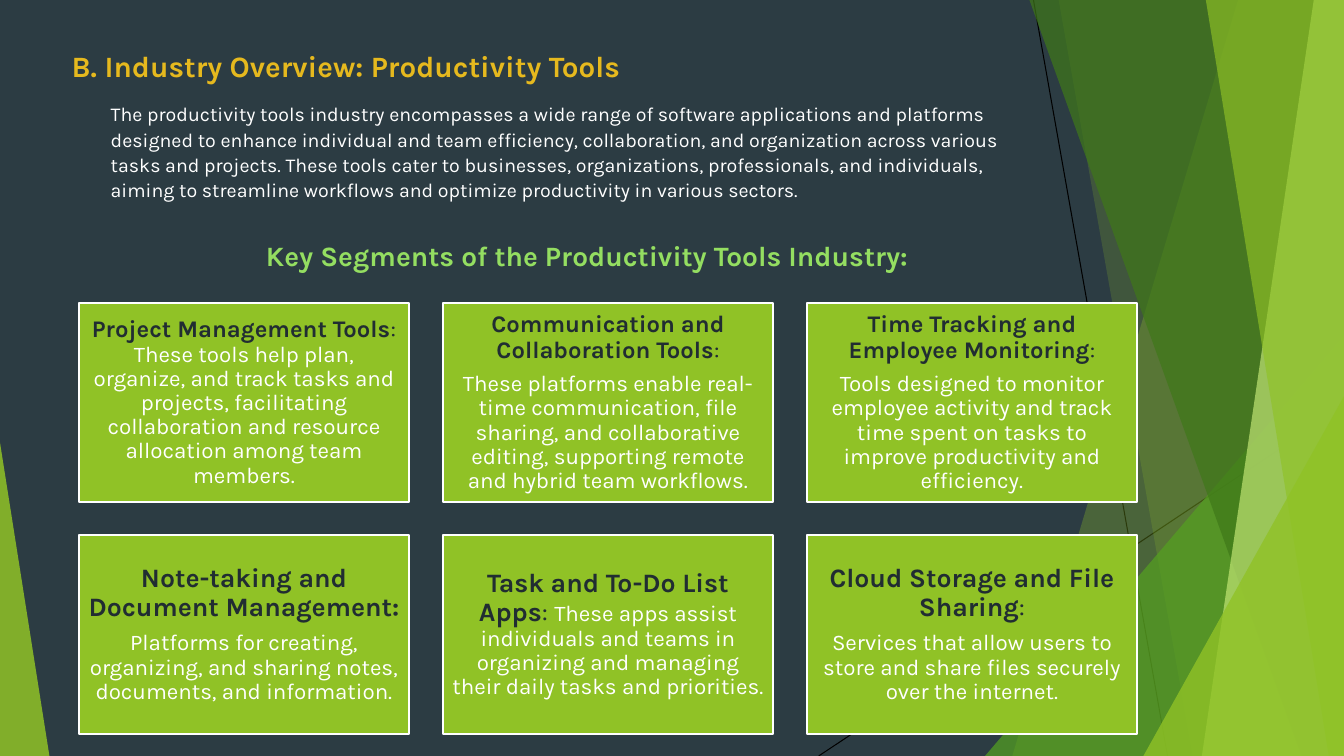
from lxml import etree
from pptx import Presentation
from pptx.dml.color import RGBColor
from pptx.enum.shapes import MSO_CONNECTOR, MSO_SHAPE
from pptx.enum.text import MSO_ANCHOR, MSO_AUTO_SIZE, PP_ALIGN
from pptx.oxml.ns import qn
from pptx.util import Inches, Pt

STRAIGHT = MSO_CONNECTOR.STRAIGHT
TRIANGLE, RECTANGLE = MSO_SHAPE.ISOSCELES_TRIANGLE, MSO_SHAPE.RECTANGLE
TOP, MIDDLE, BOTTOM = MSO_ANCHOR.TOP, MSO_ANCHOR.MIDDLE, MSO_ANCHOR.BOTTOM
LEFT, CENTER = PP_ALIGN.LEFT, PP_ALIGN.CENTER
NO_AUTOFIT = MSO_AUTO_SIZE.NONE

SLATE = RGBColor(0x2C, 0x3C, 0x43)
DARK_TEXT = RGBColor(0x21, 0x2D, 0x32)
WHITE = RGBColor(0xFF, 0xFF, 0xFF)
BLACK = RGBColor(0x00, 0x00, 0x00)
GOLD = RGBColor(0xE6, 0xB9, 0x1E)
LIME = RGBColor(0x90, 0xC2, 0x26)
LEAF = RGBColor(0x54, 0xA0, 0x21)
FOREST = RGBColor(0x3F, 0x78, 0x19)
PALE_LIME = RGBColor(0xC0, 0xE4, 0x74)
MINT = RGBColor(0x94, 0xDE, 0x61)

FONT = "Karla"
WIDTH, HEIGHT = 13.33, 7.5

TITLE = "B. Industry Overview: Productivity Tools"
INTRO = (
    "The productivity tools industry encompasses a wide range of software applications "
    "and platforms designed to enhance individual and team efficiency, collaboration, and "
    "organization across various tasks and projects. These tools cater to businesses, "
    "organizations, professionals, and individuals, aiming to streamline workflows and "
    "optimize productivity in various sectors."
)
SUBTITLE = "Key Segments of the Productivity Tools Industry:"

# Heading, mark after it, description, description on its own paragraph
SEGMENTS = [
    ("Project Management Tools", ": ",
     "These tools help plan, organize, and track tasks and projects, facilitating "
     "collaboration and resource allocation among team members.", False),
    ("Communication and Collaboration Tools", ":",
     "These platforms enable real-time communication, file sharing, and collaborative "
     "editing, supporting remote and hybrid team workflows.", True),
    ("Time Tracking and Employee Monitoring", ":",
     "Tools designed to monitor employee activity and track time spent on tasks to "
     "improve productivity and efficiency.", True),
    ("Note-taking and Document Management:", "",
     "Platforms for creating, organizing, and sharing notes, documents, and "
     "information.", True),
    ("Task and To-Do List Apps", ": ",
     "These apps assist individuals and teams in organizing and managing their daily "
     "tasks and priorities.", False),
    ("Cloud Storage and File Sharing", ":",
     "Services that allow users to store and share files securely over the internet.",
     True),
]
COLUMNS = 3
HEADING_SIZES = (17, 19)
CARD_INSETS = (0.07, 0.08)


def style_font(font, size, color, bold=False):
    font.name = FONT
    font.size = Pt(size)
    font.bold = bold
    font.color.rgb = color


def fill_translucent(shape, color, opacity):
    shape.shadow.inherit = False
    shape.line.fill.background()
    shape.fill.solid()
    shape.fill.fore_color.rgb = color
    color_element = shape.fill._xPr.find(qn("a:solidFill"))[0]
    etree.SubElement(color_element, qn("a:alpha"), val=str(opacity * 1000))


def add_thin_line(slide, x1, y1, x2, y2):
    line = slide.shapes.add_connector(
        STRAIGHT, Inches(x1), Inches(y1), Inches(x2), Inches(y2))
    line.line.color.rgb = BLACK
    line.line.width = Pt(0.75)
    etree.SubElement(line._element.spPr, qn("a:effectLst"))


def add_panel(slide, top_x, bottom_x, color, opacity):
    """Full-height panel from a slanted left edge to the slide's right edge."""
    builder = slide.shapes.build_freeform(Inches(top_x), 0)
    corners = [(WIDTH, 0), (WIDTH, HEIGHT), (bottom_x, HEIGHT)]
    builder.add_line_segments([(Inches(x), Inches(y)) for x, y in corners])
    fill_translucent(builder.convert_to_shape(), color, opacity)


def add_corner(slide, left, top, width, apex, color, opacity):
    """Triangle standing on the slide's bottom edge."""
    shape = slide.shapes.add_shape(
        TRIANGLE, Inches(left), Inches(top), Inches(width), Inches(HEIGHT - top))
    shape.adjustments[0] = apex
    fill_translucent(shape, color, opacity)


def add_backdrop(slide):
    add_thin_line(slide, 10.25, 0, 11.58, HEIGHT)
    add_thin_line(slide, WIDTH, 4.03, 8.12, HEIGHT)
    add_panel(slide, 12.28, 10.04, LIME, 30)
    add_panel(slide, 10.5, 11.83, LIME, 20)
    add_corner(slide, 9.77, 3.33, 3.56, 1, LEAF, 72)
    add_panel(slide, 10.21, 12.91, FOREST, 70)
    add_panel(slide, 13.03, 11.92, PALE_LIME, 70)
    add_panel(slide, 11.96, 13.18, LIME, 65)
    add_corner(slide, 11.34, 3.93, 1.99, 1, LIME, 80)
    add_corner(slide, 0, 4.39, 0.49, 0, LIME, 85)


def set_text(shape, text, size, color, bold, anchor=TOP):
    frame = shape.text_frame
    frame.word_wrap = True
    frame.auto_size = NO_AUTOFIT
    frame.vertical_anchor = anchor
    frame.text = text
    paragraph = frame.paragraphs[0]
    paragraph.alignment = LEFT
    style_font(paragraph.font, size, color, bold)
    return paragraph


def add_title(slide):
    title = slide.shapes.title
    title.left, title.top = Inches(0.61), Inches(0.36)
    title.width, title.height = Inches(6.62), Inches(0.52)
    set_text(title, TITLE, 21.1, GOLD, True, BOTTOM).line_spacing = 1


def add_text(slide, left, top, width, height, text, size, color, bold=False):
    box = slide.shapes.add_textbox(
        Inches(left), Inches(top), Inches(width), Inches(height))
    return set_text(box, text, size, color, bold)


def add_run(paragraph, text, size, color, bold=False):
    run = paragraph.add_run()
    run.text = text
    style_font(run.font, size, color, bold)


def add_card(slide, index, heading, mark, description, separate):
    row, column = divmod(index, COLUMNS)
    card = slide.shapes.add_shape(
        RECTANGLE, Inches(0.78 + 3.61 * column), Inches(3.01 + 2.3 * row),
        Inches(3.28), Inches(1.97))
    card.shadow.inherit = False
    card.fill.solid()
    card.fill.fore_color.rgb = LIME
    card.line.color.rgb = WHITE
    card.line.width = Pt(1.5)

    frame = card.text_frame
    frame.word_wrap = True
    frame.vertical_anchor = MIDDLE
    inset = Inches(CARD_INSETS[row])
    frame.margin_left = frame.margin_right = inset
    frame.margin_top = frame.margin_bottom = inset

    paragraph = frame.paragraphs[0]
    add_run(paragraph, heading, HEADING_SIZES[row], DARK_TEXT, True)
    if mark:
        add_run(paragraph, mark, HEADING_SIZES[row], DARK_TEXT)
    if separate:
        paragraph.space_after = Pt(6.5)
        paragraph = frame.add_paragraph()
    add_run(paragraph, description, 16, WHITE)
    for paragraph in frame.paragraphs:
        paragraph.alignment = CENTER
        paragraph.line_spacing = 0.9


def main():
    presentation = Presentation()
    presentation.slide_width = Inches(WIDTH)
    presentation.slide_height = Inches(HEIGHT)
    slide = presentation.slides.add_slide(presentation.slide_layouts[5])
    slide.background.fill.solid()
    slide.background.fill.fore_color.rgb = SLATE

    add_backdrop(slide)

    # Heading and introduction
    add_title(slide)
    intro = add_text(slide, 1, 0.95, 9.13, 1.1, INTRO, 14, WHITE)
    intro.line_spacing = 1.07

    # Segment cards
    add_text(slide, 2.54, 2.32, 6.67, 0.44, SUBTITLE, 20, MINT, True)
    for index, segment in enumerate(SEGMENTS):
        add_card(slide, index, *segment)

    presentation.save("out.pptx")


if __name__ == "__main__":
    main()
